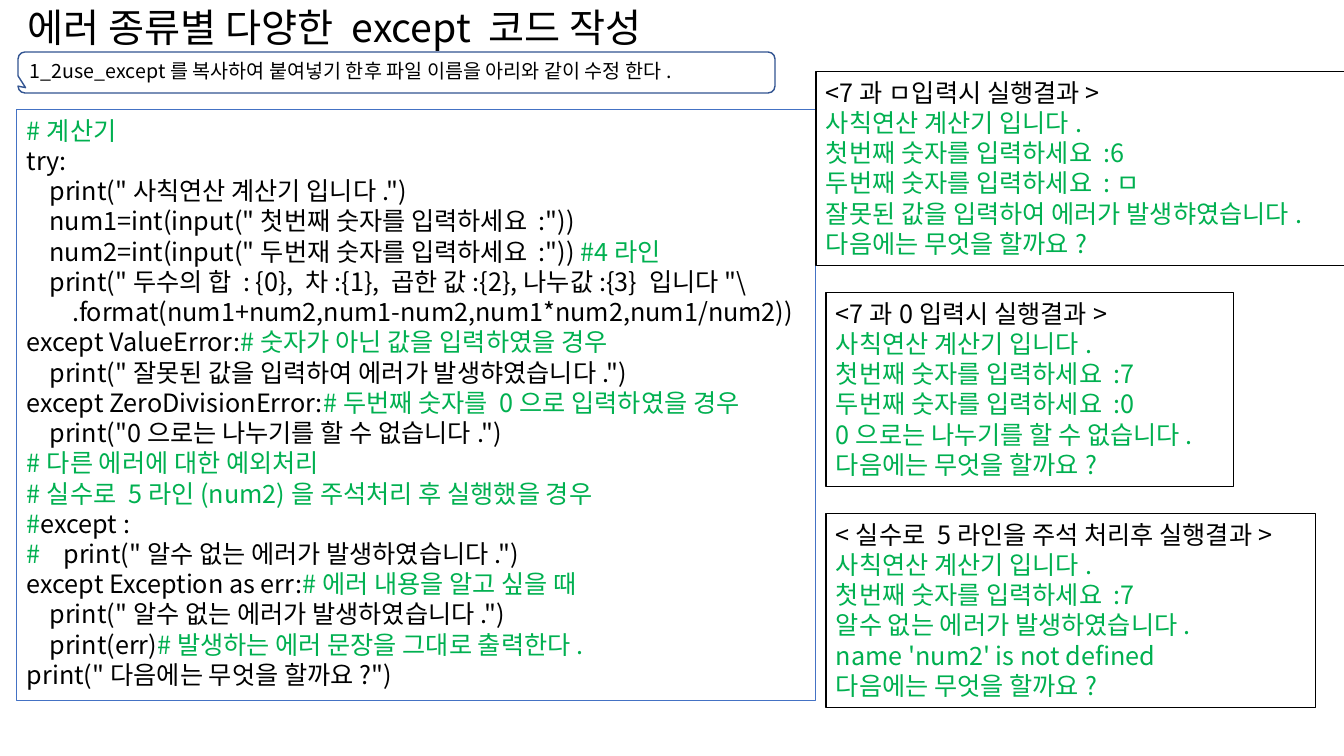
from lxml import etree
from pptx import Presentation
from pptx import util as u
from pptx.dml.color import RGBColor
from pptx.enum import shapes, text
from pptx.oxml.ns import qn

PX = u.Inches(1) / 100.8
FONT = "Noto Sans CJK KR"
BLACK, GREEN, BLUE, NAVY, WHITE = "000000", "00B050", "4472C4", "325491", "FFFFFF"

GREETING = "사칙연산 계산기 입니다."
FAREWELL = "다음에는 무엇을 할까요?"
UNKNOWN = 'print("알수 없는 에러가 발생하였습니다.")'

# Each line is a list of (text, colour) spans.
CODE = [
    [("#계산기", GREEN)],
    [("try:", BLACK)],
    [(f'    print("{GREETING}")', BLACK)],
    [('    num1=int(input("첫번째 숫자를 입력하세요 :"))', BLACK)],
    [('    num2=int(input("두번재 숫자를 입력하세요 :"))', BLACK), (" #4라인", GREEN)],
    [('    print("두수의 합 : {0}, 차:{1}, 곱한 값:{2},나누값:{3} 입니다"\\', BLACK)],
    [("        .format(num1+num2,num1-num2,num1*num2,num1/num2))", BLACK)],
    [("except ValueError:", BLACK), ("#숫자가 아닌 값을 입력하였을 경우", GREEN)],
    [('    print("잘못된 값을 입력하여 에러가 발생햐였습니다.")', BLACK)],
    [("except ZeroDivisionError:", BLACK), ("#두번째 숫자를 0으로 입력하였을 경우", GREEN)],
    [('    print("0으로는 나누기를 할 수 없습니다.")', BLACK)],
    [("#다른 에러에 대한 예외처리", GREEN)],
    [("#실수로 5라인(num2)을 주석처리 후 실행했을 경우", GREEN)],
    [("#", GREEN), ("except :", BLACK)],
    [("#    ", GREEN), (UNKNOWN, BLACK)],
    [("except Exception as err:", BLACK), ("#에러 내용을 알고 싶을 때", GREEN)],
    [("    " + UNKNOWN, BLACK)],
    [("    print(err)", BLACK), ("#발생하는 에러 문장을 그대로 출력한다.", GREEN)],
    [(f'print("{FAREWELL}")', BLACK)],
]

# Place in px, heading, and the output between greeting and farewell.
RESULTS = [
    ((816, 72, 543, 194), "<7과 ㅁ입력시 실행결과>",
     ["첫번째 숫자를 입력하세요 :6", "두번째 숫자를 입력하세요 :ㅁ",
      "잘못된 값을 입력하여 에러가 발생햐였습니다."]),
    ((826, 293, 408, 194), "<7과0입력시 실행결과>",
     ["첫번째 숫자를 입력하세요 :7", "두번째 숫자를 입력하세요 :0",
      "0으로는 나누기를 할 수 없습니다."]),
    ((826, 514, 490, 194), "<실수로 5라인을 주석 처리후 실행결과>",
     ["첫번째 숫자를 입력하세요 :7", "알수 없는 에러가 발생하였습니다.",
      "name 'num2' is not defined"]),
]


def px(*lengths):
    return [u.Emu(round(length * PX)) for length in lengths]


def colour(code):
    return RGBColor.from_string(code)


def set_font(para, size):
    """Set size and both the Latin and the East Asian typeface."""
    para.font.size = u.Pt(size)
    para.font.name = FONT
    defaults = para._p.pPr.find(qn("a:defRPr"))
    etree.SubElement(defaults, qn("a:ea")).set("typeface", FONT)


def write_lines(frame, lines, size):
    frame.word_wrap = True
    for number, spans in enumerate(lines):
        para = frame.paragraphs[0] if number == 0 else frame.add_paragraph()
        para.alignment = text.PP_ALIGN.LEFT
        set_font(para, size)
        for words, code in spans:
            span = para.add_run()
            span.text = words
            span.font.color.rgb = colour(code)


def set_outline(box, code, width):
    box.line.color.rgb = colour(code)
    box.line.width = u.Pt(width)


def add_title(page, words):
    box = page.shapes.add_textbox(*px(18, -6, 879, 62))
    frame = box.text_frame
    write_lines(frame, [[(words, BLACK)]], 28)
    frame.vertical_anchor = text.MSO_ANCHOR.BOTTOM
    frame.paragraphs[0].line_spacing = 0.9


def add_listing(page, place, lines, outline):
    box = page.shapes.add_textbox(*px(*place))
    set_outline(box, outline, 0.75)
    write_lines(box.text_frame, lines, 18)
    box.text_frame.auto_size = text.MSO_AUTO_SIZE.SHAPE_TO_FIT_TEXT


def add_callout(page, words):
    kind = shapes.MSO_SHAPE.ROUNDED_RECTANGULAR_CALLOUT
    box = page.shapes.add_shape(kind, *px(18, 52, 757, 41))
    box.shadow.inherit = False
    for index, value in enumerate((-0.49, 0.37, 0.17)):
        box.adjustments[index] = value
    box.fill.solid()
    box.fill.fore_color.rgb = colour(WHITE)
    set_outline(box, NAVY, 1)
    write_lines(box.text_frame, [[(words, BLACK)]], 14)
    box.text_frame.vertical_anchor = text.MSO_ANCHOR.TOP


def main():
    deck = Presentation()
    deck.slide_width, deck.slide_height = px(1344, 756)
    page = deck.slides.add_slide(deck.slide_layouts[6])
    add_title(page, "에러 종류별 다양한 except 코드 작성")
    add_listing(page, (17, 110, 799, 591), CODE, BLUE)
    for place, heading, output in RESULTS:
        green_lines = [[(line, GREEN)] for line in (GREETING, *output, FAREWELL)]
        add_listing(page, place, [[(heading, BLACK)], *green_lines], BLACK)
    add_callout(page, "1_2use_except를 복사하여 붙여넣기 한후 파일 이름을 아리와 같이 수정 한다.")
    deck.save("out.pptx")


if __name__ == "__main__":
    main()
